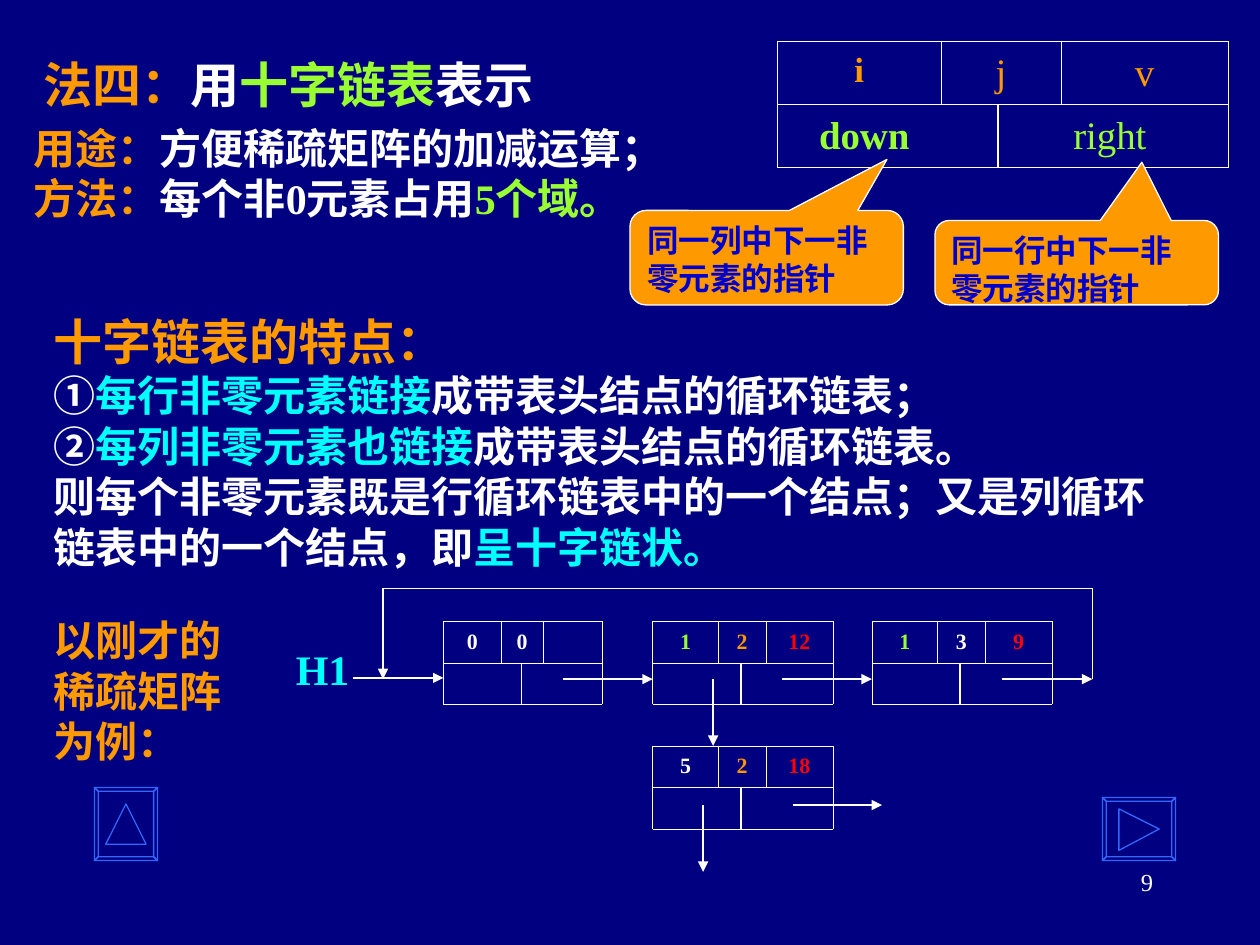
import itertools

import pptx
import pptx.dml.color
import pptx.enum.shapes
import pptx.enum.text
import pptx.oxml
import pptx.oxml.ns
import pptx.util
from pptx.util import Inches

RGBColor = pptx.dml.color.RGBColor
NAVY = RGBColor(0x00, 0x00, 0x80)
WHITE = RGBColor(0xFF, 0xFF, 0xFF)
ORANGE = RGBColor(0xFF, 0x99, 0x00)
GREEN = RGBColor(0x99, 0xFF, 0x33)
CYAN = RGBColor(0x00, 0xFF, 0xFF)
RED = RGBColor(0xFF, 0x00, 0x00)
INK = RGBColor(0x00, 0x00, 0xCC)
BUTTON_BLUE = RGBColor(0x33, 0x66, 0xFF)
LATIN, CJK = "Times New Roman", "Noto Sans CJK SC"
LEFT, CENTER, RIGHT = (pptx.enum.text.PP_ALIGN.LEFT, pptx.enum.text.PP_ALIGN.CENTER,
                       pptx.enum.text.PP_ALIGN.RIGHT)
TOP, MIDDLE = pptx.enum.text.MSO_ANCHOR.TOP, pptx.enum.text.MSO_ANCHOR.MIDDLE

# Content: each paragraph is (size, [(text, colour), ...])
TITLE = [(28, [("法四：", ORANGE), ("用", WHITE), ("十字链表", GREEN), ("表示", WHITE)])]
PURPOSE = [
    (24, [("用途：", ORANGE), ("方便稀疏矩阵的加减运算；", WHITE)]),
    (24, [("方法：", ORANGE), ("每个非0元素占用", WHITE), ("5个域。", GREEN)]),
]
FEATURES = [
    (28, [("十字链表的特点：", ORANGE)]),
    (24, [("①", WHITE), ("每行非零元素链接", CYAN), ("成带表头结点的循环链表；", WHITE)]),
    (24, [("②", WHITE), ("每列非零元素也链接", CYAN), ("成带表头结点的循环链表。", WHITE)]),
    (24, [("则每个非零元素既是行循环链表中的一个结点；又是列循环链表中的一个结点，即", WHITE),
          ("呈十字链状。", CYAN)]),
]
EXAMPLE = [(24, [("以刚才的稀疏矩阵为例：", ORANGE)])]
CALLOUTS = [  # text, place, adjustments
    ("同一列中下一非零元素的指针", (5, 1.67, 2.17, 0.75), (0.44, -1.04, 0.17)),
    ("同一行中下一非零元素的指针", (7.42, 1.75, 2.25, 0.67), (0.23, -1.19, 0.17)),
]

# Node layouts: column widths, offset of the lower divider, row height
FIELD_LAYOUT = ((1.3, 0.95, 1.33), 1.75, 0.5)
HEAD_LAYOUT = ((0.46, 0.33, 0.47), 0.62, 0.33)
NODE_LAYOUT = ((0.52, 0.38, 0.53), 0.7, 0.33)
NODES = [  # left, top, layout, upper fields (text, colour, size, bold)
    (6.17, 0.33, FIELD_LAYOUT,
     [("i", ORANGE, 20, True), ("j", ORANGE, 22.2, False), ("v", ORANGE, 22.2, False)]),
    (3.52, 4.93, HEAD_LAYOUT, [("0", WHITE, 12.5, True), ("0", WHITE, 12.5, True)]),
    (5.18, 4.93, NODE_LAYOUT,
     [("1", GREEN, 12.5, True), ("2", ORANGE, 12.5, True), ("12", RED, 12.5, True)]),
    (6.92, 4.93, NODE_LAYOUT,
     [("1", GREEN, 12.5, True), ("3", WHITE, 12.5, True), ("9", RED, 12.5, True)]),
    (5.18, 5.92, NODE_LAYOUT,
     [("5", WHITE, 12.5, True), ("2", ORANGE, 12.5, True), ("18", RED, 12.5, True)]),
]
ARROWS = [
    (2.8, 5.38, 3.52, 5.38), (4.47, 5.39, 5.18, 5.39), (6.21, 5.39, 6.92, 5.39),
    (7.95, 5.39, 8.67, 5.39), (3.04, 4.67, 3.04, 5.39), (5.66, 5.39, 5.66, 5.92),
    (5.58, 6.39, 5.58, 6.92), (6.29, 6.39, 7, 6.39),
]
RETURN_LINES = [(8.67, 5.39, 8.67, 4.67), (8.67, 4.67, 3.04, 4.67)]
BUTTONS = [  # place, symbol triangle
    ((8.75, 6.33, 0.58, 0.5), [(8.88, 6.42), (9.2, 6.58), (8.88, 6.75)]),
    ((0.75, 6.25, 0.5, 0.58), [(1.16, 6.7), (1, 6.38), (0.84, 6.7)]),
]
BEVEL = 0.03


def fill_text(shape, paragraphs, align=LEFT, anchor=TOP, bold=True, indent=0):
    frame = shape.text_frame
    frame.word_wrap = True
    frame.vertical_anchor = anchor
    frame.margin_left = Inches(0.1 + indent)
    for index, (size, runs) in enumerate(paragraphs):
        paragraph = frame.add_paragraph() if index else frame.paragraphs[0]
        paragraph.alignment = align
        for text, color in runs:
            run = paragraph.add_run()
            run.text = text
            run.font.size = pptx.util.Pt(size)
            run.font.bold = bold
            run.font.name = LATIN
            run.font.color.rgb = color
            east_asian = pptx.oxml.parse_xml(
                f'<a:ea {pptx.oxml.ns.nsdecls("a")} typeface="{CJK}"/>')
            run.font._element.find(pptx.oxml.ns.qn("a:latin")).addnext(east_asian)


def add_text(slide, place, paragraphs, **options):
    fill_text(slide.shapes.add_textbox(*map(Inches, place)), paragraphs, **options)


def add_line(slide, ends, width=0.75, arrow=False):
    line = slide.shapes.add_connector(
        pptx.enum.shapes.MSO_CONNECTOR.STRAIGHT, *map(Inches, ends))
    line.line.color.rgb = WHITE
    line.line.width = pptx.util.Pt(width)
    namespace = pptx.oxml.ns.nsdecls("a")
    if arrow:
        line.line._get_or_add_ln().append(
            pptx.oxml.parse_xml(f'<a:tailEnd {namespace} type="triangle"/>'))
    line._element.spPr.append(pptx.oxml.parse_xml(f"<a:effectLst {namespace}/>"))


def add_node(slide, left, top, layout, fields):
    widths, divider, height = layout
    edges = list(itertools.accumulate(widths, initial=left))
    right, middle, bottom = edges[-1], top + height, top + 2 * height
    for edge, width, (text, color, size, bold) in zip(edges, widths, fields):
        add_text(slide, (edge, top, width, height), [(size, [(text, color)])],
                 align=CENTER, bold=bold)
    for y in (top, middle, bottom):
        add_line(slide, (left, y, right, y), 0.25)
    for x, end in zip(edges, (bottom, middle, middle, bottom)):
        add_line(slide, (x, top, x, end), 0.25)
    add_line(slide, (left + divider, middle, left + divider, bottom))


def add_button(slide, place, triangle):
    left, top, width, height = place
    right, bottom = left + width, top + height
    outer = [(left, top), (right, top), (right, bottom), (left, bottom)]
    inner = [(left + BEVEL, top + BEVEL), (right - BEVEL, top + BEVEL),
             (right - BEVEL, bottom - BEVEL), (left + BEVEL, bottom - BEVEL)]
    sides = [[outer[i], outer[(i + 1) % 4], inner[(i + 1) % 4], inner[i]] for i in range(4)]
    contours = [[(Inches(x), Inches(y)) for x, y in points]
                for points in [outer, *sides, triangle]]
    builder = slide.shapes.build_freeform(*contours[0][0])
    for points in contours:
        builder.move_to(*points[0])
        builder.add_line_segments(points[1:], close=True)
    button = builder.convert_to_shape()
    button.shadow.inherit = False
    button.fill.background()
    button.line.color.rgb = BUTTON_BLUE
    button.line.width = pptx.util.Pt(0.75)


def main():
    presentation = pptx.Presentation()
    presentation.slide_width, presentation.slide_height = Inches(10), Inches(7.5)
    slide = presentation.slides.add_slide(presentation.slide_layouts[6])
    slide.background.fill.solid()
    slide.background.fill.fore_color.rgb = NAVY

    # Title and purpose
    add_text(slide, (0.25, 0.33, 4.5, 0.67), TITLE, anchor=MIDDLE)
    add_text(slide, (0.17, 0.92, 5.25, 0.9), PURPOSE)

    # Field diagram and list nodes
    for node in NODES:
        add_node(slide, *node)
    add_text(slide, (6.17, 0.83, 2.25, 0.5), [(22.2, [("down", GREEN)])], indent=0.23)
    add_text(slide, (8.42, 0.83, 1.33, 0.5), [(22.2, [("right", GREEN)])], bold=False)

    # Pointer callouts
    for text, place, adjustments in CALLOUTS:
        callout = slide.shapes.add_shape(
            pptx.enum.shapes.MSO_SHAPE.ROUNDED_RECTANGULAR_CALLOUT, *map(Inches, place))
        for index, value in enumerate(adjustments):
            callout.adjustments[index] = value
        callout.shadow.inherit = False
        callout.fill.solid()
        callout.fill.fore_color.rgb = ORANGE
        callout.line.color.rgb = WHITE
        callout.line.width = pptx.util.Pt(0.75)
        fill_text(callout, [(18, [(text, INK)])])

    # Features, example and head pointer
    add_text(slide, (0.33, 2.42, 9, 2.17), FEATURES)
    add_text(slide, (0.33, 4.83, 1.58, 1.3), EXAMPLE)
    add_text(slide, (2.25, 5.06, 0.7, 0.5), [(24, [("H1", CYAN)])])

    # Links between nodes
    for ends in ARROWS:
        add_line(slide, ends, arrow=True)
    for ends in RETURN_LINES:
        add_line(slide, ends)

    # Navigation buttons and page number
    for place, triangle in BUTTONS:
        add_button(slide, place, triangle)
    add_text(slide, (7.17, 6.83, 2.08, 0.5), [(14, [("9", WHITE)])], align=RIGHT, bold=False)

    presentation.save("out.pptx")


if __name__ == "__main__":
    main()
